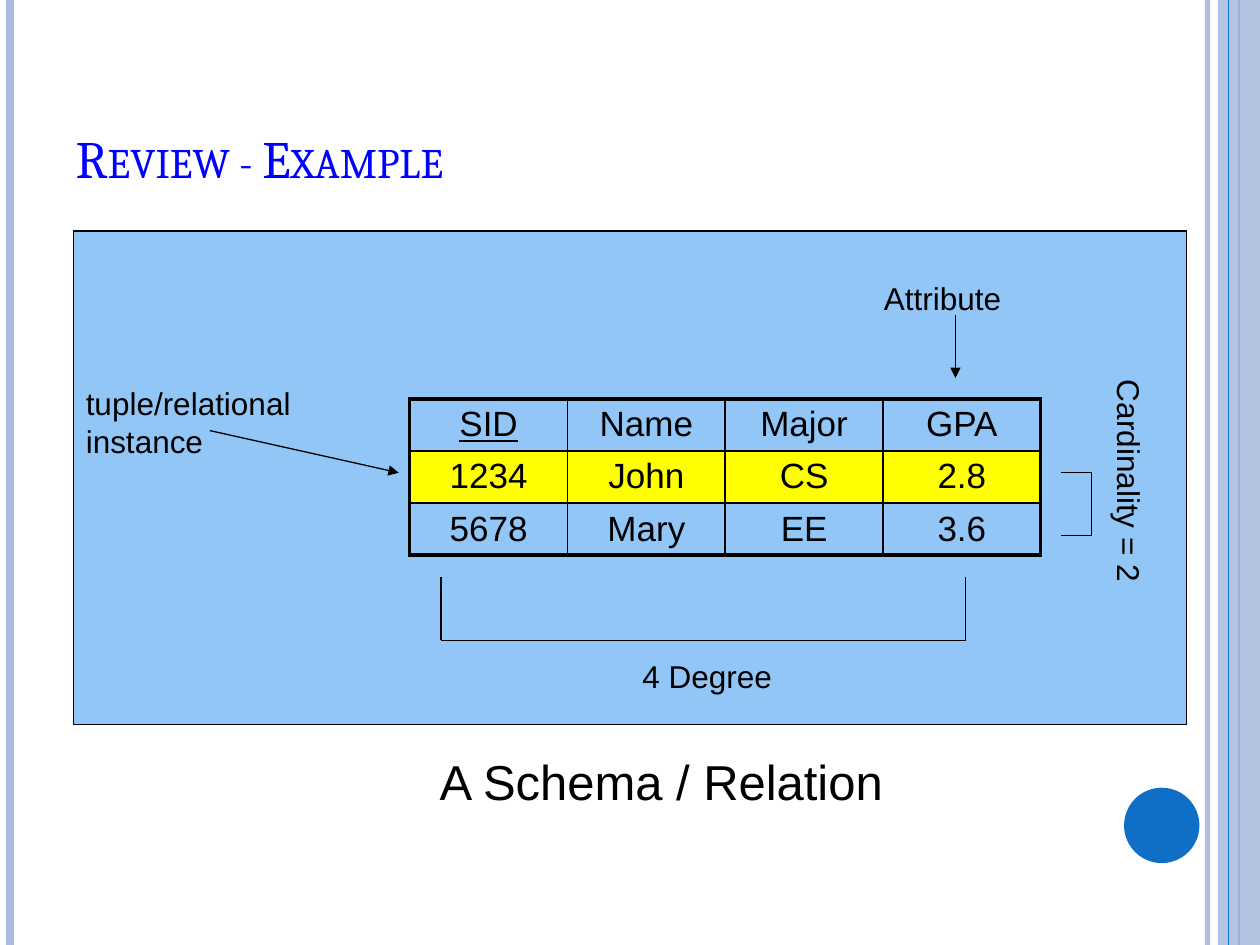
"""Builds the Review - Example slide on the parts of a relation."""
from dataclasses import dataclass
from itertools import pairwise

from lxml import etree
from pptx import Presentation
from pptx.dml.color import RGBColor
from pptx.enum.shapes import MSO_CONNECTOR, MSO_SHAPE
from pptx.enum.text import MSO_ANCHOR, PP_ALIGN
from pptx.oxml.ns import qn
from pptx.util import Cm, Pt

STRAIGHT = MSO_CONNECTOR.STRAIGHT
RECT, OVAL = MSO_SHAPE.RECTANGLE, MSO_SHAPE.OVAL
LEFT, CENTER = PP_ALIGN.LEFT, PP_ALIGN.CENTER
TOP, BOTTOM = MSO_ANCHOR.TOP, MSO_ANCHOR.BOTTOM
WIDTH, HEIGHT = 25.4, 19.05
TITLE_ONLY = 5


@dataclass(frozen=True)
class Theme:
    """Colours, fonts and type sizes of the slide."""
    ink: str = "000000"
    title: str = "0000FF"
    accent: str = "0F6FC6"
    band: str = "ABBBDF"
    panel: str = "91C6F7"
    highlight: str = "FFFF00"
    head_font: str = "Cambria"
    body_font: str = "Arial"
    title_size: float = 30
    caption_size: float = 28
    cell_size: float = 20
    label_size: float = 18
    thin: float = 0.75
    inner: float = 1
    outer: float = 2.25


def apply(obj, values):
    """Set attributes of obj from a dict of format values."""
    for name, value in values.items():
        setattr(obj, name, value)


def set_alpha(fill, percent):
    """Make a solid fill or line fill partly transparent."""
    color = fill._xPr.find(qn("a:solidFill"))[0]
    etree.SubElement(color, qn("a:alpha")).set("val", str(percent * 1000))


class SlideBuilder:
    """Holds the theme and the current slide and draws its elements."""

    def __init__(self, slide, theme):
        self.s = slide
        self.theme = theme

    def add_text(self, tf, text, size, font=None, color=None, align=LEFT, **extra):
        """Put one formatted run into a text frame and return it."""
        p = tf.paragraphs[0]
        p.alignment = align
        r = p.add_run()
        r.text = text
        apply(r.font, {"name": font or self.theme.body_font,
                       "size": Pt(size), **extra})
        r.font.color.rgb = RGBColor.from_string(color or self.theme.ink)
        return r

    def title(self, text, box):
        """Place the title placeholder in small capitals."""
        t, sp = self.theme, self.s.shapes.title
        apply(sp, dict(zip(("left", "top", "width", "height"), map(Cm, box))))
        apply(sp.text_frame, {"vertical_anchor": BOTTOM, "word_wrap": True})
        r = self.add_text(sp.text_frame, text, t.title_size, t.head_font, t.title)
        r.font._element.set("cap", "small")

    def shape(self, kind, box, fill, line=None, alpha=None):
        """Draw a filled preset shape."""
        sp = self.s.shapes.add_shape(kind, *map(Cm, box))
        sp.shadow.inherit = False
        sp.fill.solid()
        sp.fill.fore_color.rgb = RGBColor.from_string(fill)
        if alpha:
            set_alpha(sp.fill, alpha)
        if line:
            sp.line.color.rgb = RGBColor.from_string(line)
            sp.line.width = Pt(self.theme.thin)
        else:
            sp.line.fill.background()

    def line(self, start, end, color=None, width=None, alpha=None, arrow=False):
        """Draw a straight line, with an arrowhead at its end if asked."""
        cx = self.s.shapes.add_connector(STRAIGHT, *map(Cm, (*start, *end)))
        cx.line.color.rgb = RGBColor.from_string(color or self.theme.ink)
        cx.line.width = Pt(width or self.theme.thin)
        if alpha:
            set_alpha(cx.line.fill, alpha)
        if arrow:
            etree.SubElement(cx.line._ln, qn("a:tailEnd")).set("type", "triangle")
        etree.SubElement(cx._element.spPr, qn("a:effectLst"))

    def bracket(self, *points):
        """Join consecutive points with straight lines."""
        for start, end in pairwise(points):
            self.line(start, end)

    def label(self, text, box, size=None, align=LEFT, vert=None):
        """Add a wrapped text box."""
        tf = self.s.shapes.add_textbox(*map(Cm, box)).text_frame
        apply(tf, {"word_wrap": True, "vertical_anchor": TOP})
        if vert:
            tf._txBody.bodyPr.set("vert", vert)
        self.add_text(tf, text, size or self.theme.label_size, align=align)

    def border(self, cell, side, width):
        """Give one side of a cell a solid line."""
        ln = etree.SubElement(cell._tc.get_or_add_tcPr(), qn(f"a:ln{side}"))
        ln.set("w", str(Pt(width)))
        fill = etree.SubElement(ln, qn("a:solidFill"))
        etree.SubElement(fill, qn("a:srgbClr")).set("val", self.theme.ink)

    def table(self, rows, corner, col_width, row_height, marked_row, key):
        """Draw the relation with a heavy frame and one marked row."""
        t, n_rows, n_cols = self.theme, len(rows), len(rows[0])
        size = (col_width * n_cols, row_height * n_rows)
        table = self.s.shapes.add_table(
            n_rows, n_cols, *map(Cm, (*corner, *size))).table
        apply(table, {"first_row": False, "horz_banding": False})
        for i, row in enumerate(rows):
            for j, text in enumerate(row):
                cell = table.cell(i, j)
                self.add_text(cell.text_frame, text, t.cell_size, align=CENTER,
                              underline=text == key)
                edges = {"L": j == 0, "R": j == n_cols - 1,
                         "T": i == 0, "B": i == n_rows - 1}
                for side, outside in edges.items():
                    self.border(cell, side, t.outer if outside else t.inner)
                if i == marked_row:
                    cell.fill.solid()
                    cell.fill.fore_color.rgb = RGBColor.from_string(t.highlight)
                else:
                    cell.fill.background()


def main():
    """Build and save the slide."""
    prs = Presentation()
    prs.slide_width, prs.slide_height = Cm(WIDTH), Cm(HEIGHT)
    s = prs.slides.add_slide(prs.slide_layouts[TITLE_ONLY])
    t = Theme()
    b = SlideBuilder(s, t)

    def stripe(x, color, width, alpha=None):
        """Draw a line over the full slide height."""
        b.line((x, 0), (x, HEIGHT), color, width, alpha)

    stripe(24.34, t.band, 3, 93)
    stripe(0.21, t.band, 4.5)
    stripe(24.98, t.accent, 1.5)
    b.shape(RECT, (24.55, 0, 0.85, HEIGHT), t.band, alpha=87)
    stripe(24.77, t.accent, 0.75)
    b.shape(OVAL, (22.66, 15.88, 1.52, 1.52), t.accent)

    b.title("Review - Example", (1.27, 0.76, 20.75, 3.18))
    b.shape(RECT, (1.48, 4.66, 22.44, 9.95), t.panel, t.ink)
    rows = [("SID", "Name", "Major", "GPA"),
            ("1234", "John", "CS", "2.8"),
            ("5678", "Mary", "EE", "3.6")]
    b.table(rows, (8.26, 8.04), 3.18, 1.05, marked_row=1, key="SID")

    b.line((4.23, 8.68), (8.04, 9.53), arrow=True)
    b.label("tuple/relational instance", (1.48, 7.62, 5.29, 1.78))
    b.line((19.26, 6.35), (19.26, 7.62), arrow=True)
    b.label("Attribute", (17.57, 5.5, 4.02, 1.02))
    b.bracket((8.89, 11.64), (8.89, 12.91), (19.47, 12.91), (19.47, 11.64))
    b.label("4 Degree", (12.7, 13.13, 3.6, 1.02))
    b.bracket((21.38, 9.53), (22.01, 9.53), (22.01, 10.8), (21.38, 10.8))
    b.label("Cardinality = 2", (22.01, 7.41, 1.27, 6.56), vert="eaVert")
    b.label("A Schema / Relation", (8.04, 15.03, 10.58, 1.45),
            t.caption_size, CENTER)
    prs.save("out.pptx")


if __name__ == "__main__":
    main()
